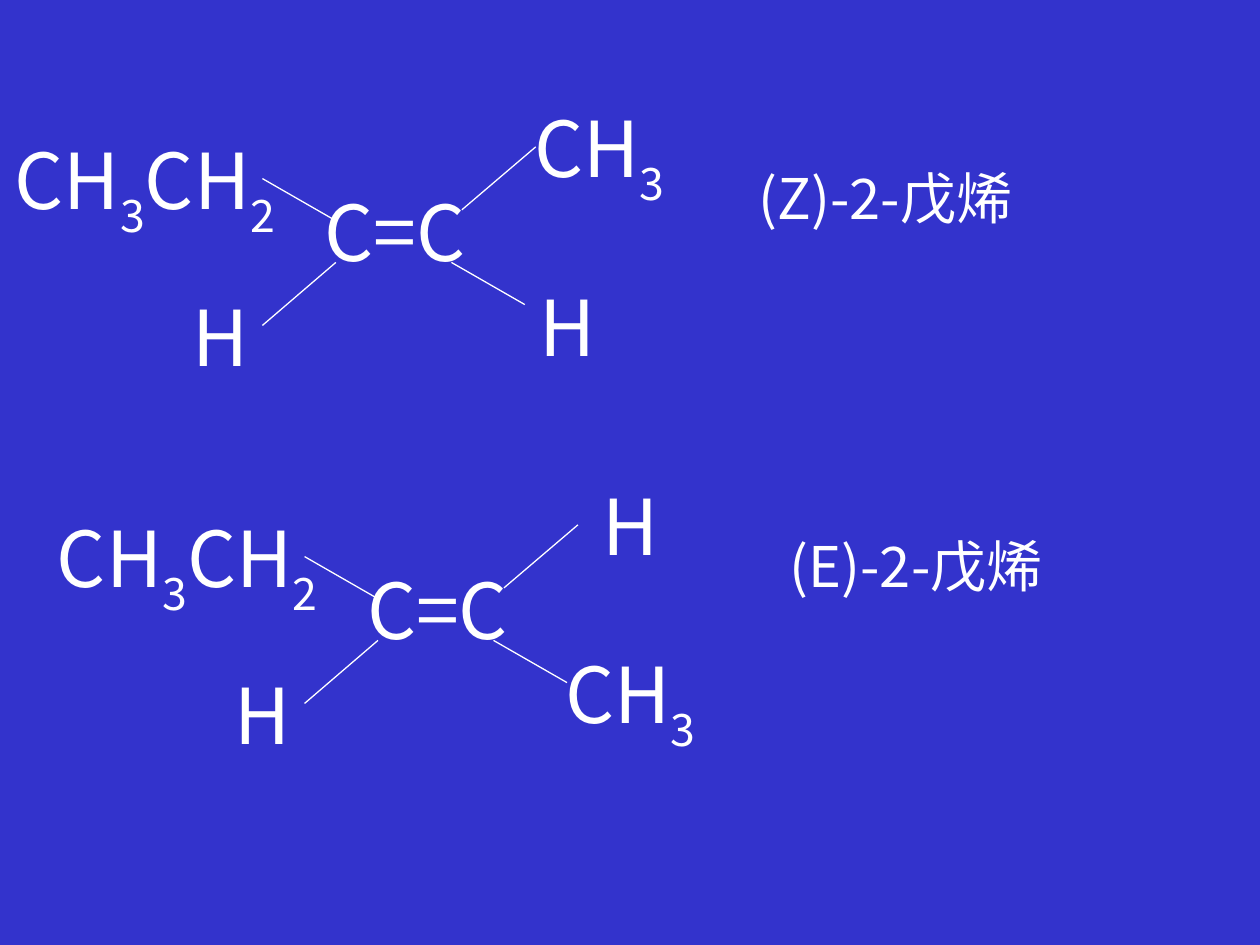
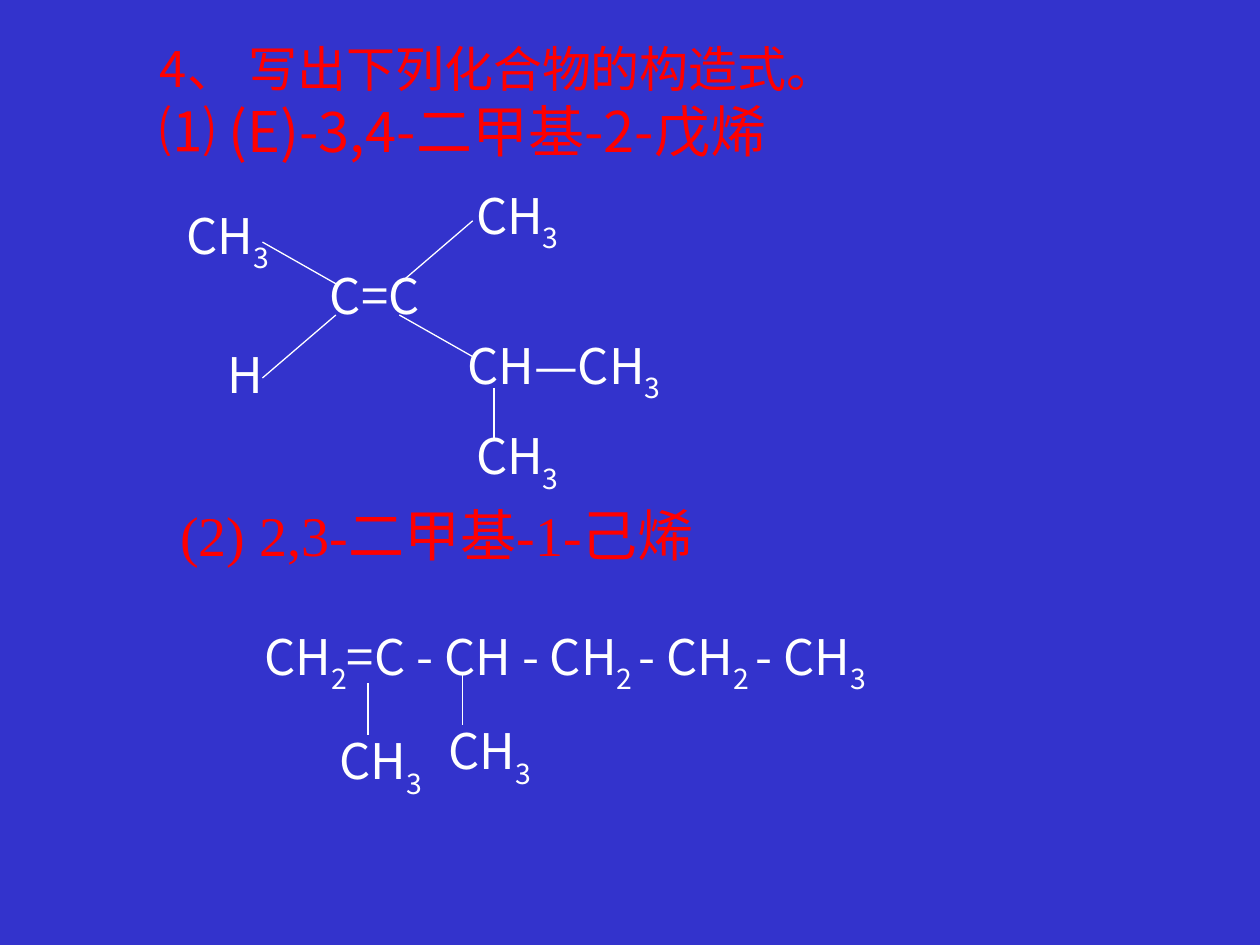
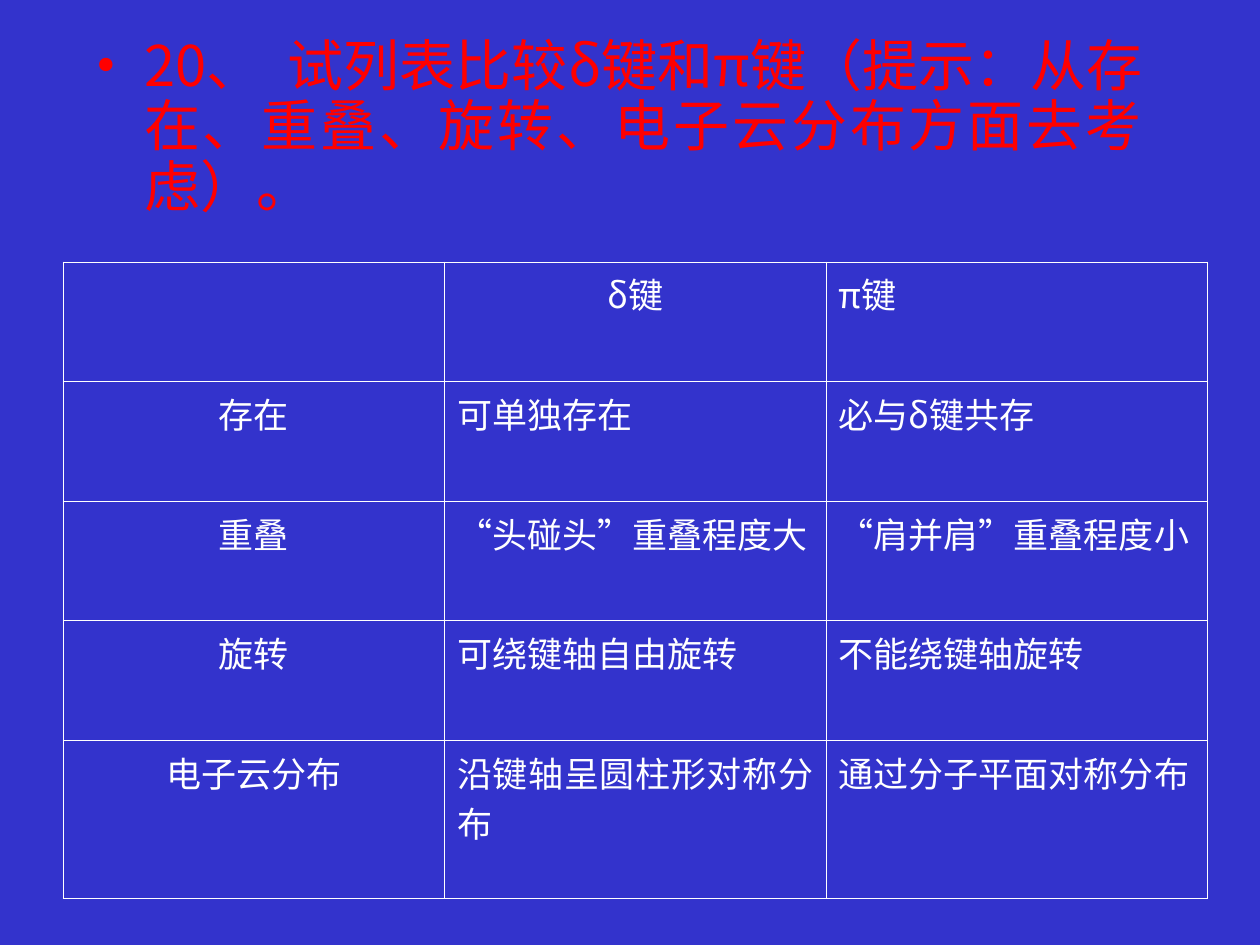
from pptx import Presentation
from pptx import util as u
from pptx.dml.color import RGBColor
from pptx.enum import shapes, text
from pptx.oxml import parse_xml
from pptx.oxml.ns import nsdecls, qn
from lxml import etree

Cm = u.Cm
INK = {"blue": "3333CC", "white": "FFFFFF", "red": "FF0000"}
SANS, SERIF = "Noto Sans CJK SC", "Times New Roman"
LEFT, MID, JUST = text.PP_ALIGN.LEFT, text.PP_ALIGN.CENTER, text.PP_ALIGN.JUSTIFY


def write(frame, *lines, size=28, ink="white", face=SANS, align=LEFT, wrap=True):
    frame.word_wrap = wrap
    frame.auto_size = text.MSO_AUTO_SIZE.NONE
    frame.vertical_anchor = text.MSO_ANCHOR.TOP
    for i, line in enumerate(lines):
        para = frame.paragraphs[0] if i == 0 else frame.add_paragraph()
        para.alignment = align
        parts = [(line, size, face)] if isinstance(line, str) else line
        for words, points, name in parts:
            for piece in words.split("{"):
                sub, mark, rest = piece.rpartition("}")
                for bit, base in ((sub, "-30000"), (rest, "0")):
                    if not bit:
                        continue
                    run = para.add_run()
                    run.text = bit
                    run.font.size = u.Pt(points)
                    run.font.name = name
                    run.font.color.rgb = RGBColor.from_string(INK[ink])
                    props = run._r.get_or_add_rPr()
                    props.set("baseline", base)
                    etree.SubElement(props, qn("a:ea")).set("typeface", SANS)


def bond(slide, *ends):
    line = slide.shapes.add_connector(
        shapes.MSO_CONNECTOR.STRAIGHT, *[Cm(end) for end in ends])
    line.line.color.rgb = RGBColor.from_string(INK["white"])
    line.line.width = u.Pt(0.75)
    etree.SubElement(line._element.spPr, qn("a:effectLst"))


deck = Presentation()
deck.slide_width, deck.slide_height = Cm(25.4), Cm(19.05)
ground = deck.slide_master.background.fill
ground.solid()
ground.fore_color.rgb = RGBColor.from_string(INK["blue"])
TITLED, BLANK = deck.slide_layouts[5], deck.slide_layouts[6]

isomers = deck.slides.add_slide(BLANK)
for label, x, y, w, h in [("(Z)-2-戊烯", 15.04, 3.18, 7.19, 2.97),
                          ("(E)-2-戊烯", 15.67, 10.59, 8.46, 1.63)]:
    box = isomers.shapes.add_textbox(Cm(x), Cm(y), Cm(w), Cm(h))
    write(box.text_frame, label, size=32)

SIZES = {"C=C": (3.35, 2.13), "H": (1.65, 2.13),
         "CH{3}": (3.15, 2.46), "CH{3}CH{2}": (5.79, 2.46)}
core = [("C=C", 6.3, 3.6), ("CH{3}CH{2}", 0.05, 2.54), ("H", 3.63, 5.72)]
bonds = [(5.29, 3.6, 6.77, 4.45), (9.1, 5.29, 10.58, 6.14),
         (5.29, 6.56, 6.77, 5.29), (9.31, 4.23, 10.8, 2.96)]
for dx, dy, right in [
        (0, 0, [("CH{3}", 10.52, 1.9), ("H", 10.62, 5.51)]),
        (0.85, 7.62, [("CH{3}", 10.3, 5.28), ("H", 11.04, 1.9)])]:
    for x1, y1, x2, y2 in bonds:
        bond(isomers, x1 + dx, y1 + dy, x2 + dx, y2 + dy)
    for group, x, y in core + right:
        w, h = SIZES[group]
        box = isomers.shapes.add_textbox(Cm(x + dx), Cm(y + dy), Cm(w), Cm(h))
        write(box.text_frame, group, size=44, wrap=False)

task = deck.slides.add_slide(TITLED)
head = task.shapes.title
head.left, head.top, head.width, head.height = Cm(2.97), Cm(0.64), Cm(17.58), Cm(2.79)
write(head.text_frame,
      [("4、", 28, SANS), ("  ", 16, SERIF), ("写出下列化合物的构造式。", 28, SANS)],
      "⑴ (E)-3,4-二甲基-2-戊烯", size=32, ink="red", align=JUST)
box = task.shapes.add_textbox(Cm(3.38), Cm(9.96), Cm(14.4), Cm(1.65))
write(box.text_frame, "(2) 2,3-二甲基-1-己烯", size=32, ink="red", face=SERIF)

for ends in [(5.29, 4.88, 6.77, 5.72), (8.05, 6.35, 9.53, 7.19),
             (5.29, 7.62, 6.77, 6.35), (8.05, 5.72, 9.53, 4.45),
             (9.96, 7.82, 9.96, 8.89), (7.42, 13.77, 7.42, 14.81),
             (9.32, 13.54, 9.32, 14.61)]:
    bond(task, *ends)
for group, w, h, spots in [
        ("C=C", 2.31, 1.45, [(6.4, 5.23)]),
        ("H", 1.24, 1.45, [(4.34, 6.83)]),
        ("CH—CH{3}", 4.52, 1.65, [(9.17, 6.63)]),
        ("CH{2}=C - CH - CH{2 }- CH{2 }- CH{3}", 14.17, 1.65, [(5.08, 12.5)]),
        ("CH{3}", 2.18, 1.65, [(3.51, 4.01), (9.35, 3.61), (9.35, 8.46),
                               (6.6, 14.61), (8.79, 14.4)])]:
    for x, y in spots:
        box = task.shapes.add_textbox(Cm(x), Cm(y), Cm(w), Cm(h))
        write(box.text_frame, group, wrap=len(group) > 10)

compare = deck.slides.add_slide(TITLED)
head = compare.shapes.title
head.left, head.top, head.width, head.height = Cm(1.7), Cm(0.64), Cm(21.59), Cm(4.24)
para = head.text_frame.paragraphs[0]
para.line_spacing = 0.9
props = para._p.get_or_add_pPr()
props.set("marL", str(Cm(0.95)))
props.set("indent", str(-Cm(0.95)))
for mark in (f'<a:buClr {nsdecls("a")}><a:srgbClr val="{INK["red"]}"/></a:buClr>',
             f'<a:buFont {nsdecls("a")} typeface="{SERIF}"/>',
             f'<a:buChar {nsdecls("a")} char="•"/>'):
    props.append(parse_xml(mark))
write(head.text_frame,
      "20、  试列表比较δ键和π键（提示：从存在、重叠、旋转、电子云分布方面去考虑）。",
      size=32, ink="red", align=JUST)

rows = [("", "δ键", "π键"),
        ("存在", "可单独存在", "必与δ键共存"),
        ("重叠", "“头碰头”重叠程度大", "“肩并肩”重叠程度小"),
        ("旋转", "可绕键轴自由旋转", "不能绕键轴旋转"),
        ("电子云分布", "沿键轴呈圆柱形对称分布", "通过分子平面对称分布")]
grid = compare.shapes.add_table(
    len(rows), 3, Cm(1.27), Cm(5.28), Cm(23.07), Cm(12.82)).table
grid.first_row = grid.horz_banding = False
for col in grid.columns:
    col.width = Cm(7.69)
for r, row in enumerate(rows):
    grid.rows[r].height = Cm(3.18 if r == len(rows) - 1 else 2.41)
    for c, words in enumerate(row):
        cell = grid.cell(r, c)
        para = cell.text_frame
        centred = c == 0 or (r == 0 and c == 1)
        justed = c == 1 and r in (1, 3, 4)
        write(cell.text_frame, words, size=20,
              align=MID if centred else JUST if justed else LEFT)
        props = cell._tc.get_or_add_tcPr()
        for side in "LRTB":
            props.append(parse_xml(
                f'<a:ln{side} {nsdecls("a")} w="{u.Pt(0.45)}"><a:solidFill>'
                f'<a:srgbClr val="{INK["white"]}"/></a:solidFill></a:ln{side}>'))
        cell.fill.background()

deck.save("out.pptx")
